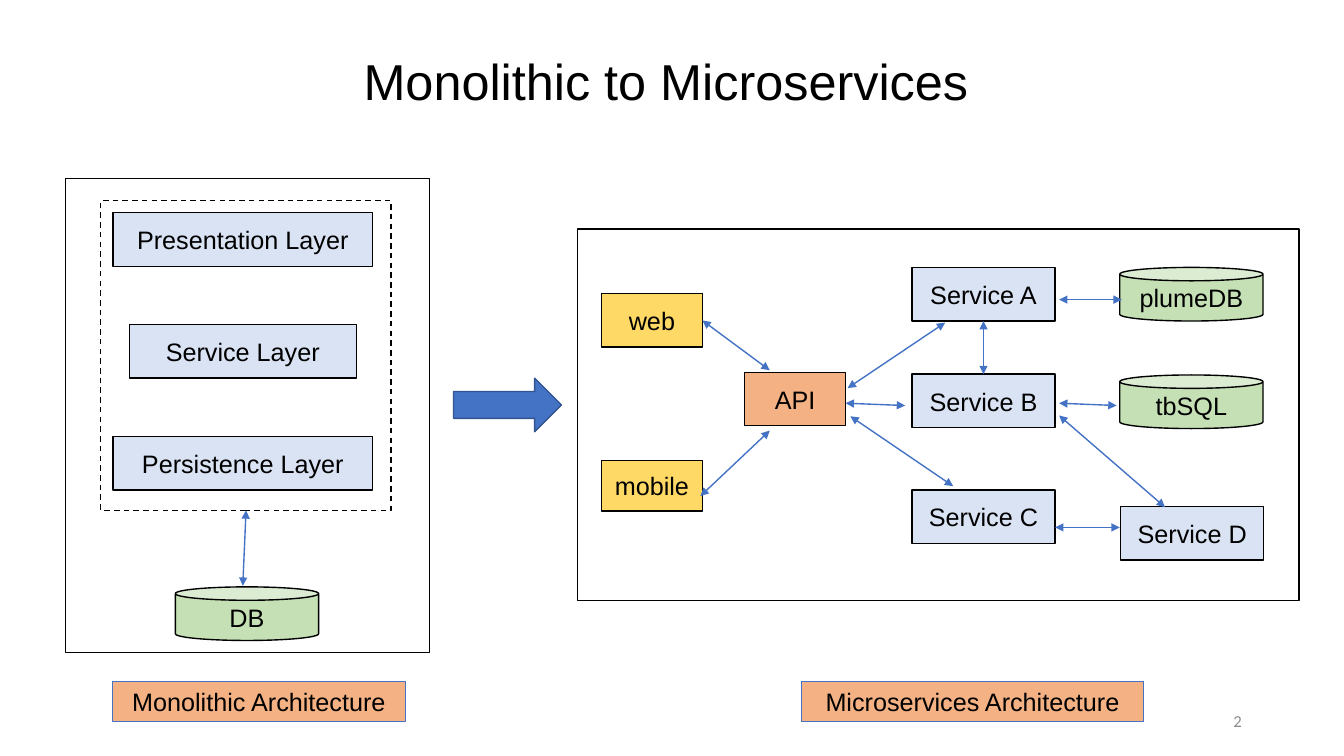
from lxml import etree
from pptx import Presentation
from pptx import util as u
from pptx.dml.color import RGBColor
from pptx.enum import dml, shapes, text
from pptx.oxml.ns import qn

COLORS = {
    "black": "000000",
    "client": "FFD966",
    "gateway": "F4B183",
    "service": "DAE3F3",
    "database": "C5E0B4",
    "arrow": "4472C4",
    "arrow_edge": "325491",
    "page": "8C8C8C",
}
RECTANGLE = shapes.MSO_SHAPE.RECTANGLE
CAN = shapes.MSO_SHAPE.CAN
ROW = 1.35  # height of a diagram node, cm
WIDE = 3.61  # width of services and databases, cm
TOP, LEFT, BOTTOM, RIGHT = range(4)


def color(name):
    return RGBColor.from_string(COLORS[name])


def write_text(shape, words, size=18, font="Arial", ink="black",
               align=text.PP_ALIGN.CENTER, spacing=None):
    frame = shape.text_frame
    frame.word_wrap = True
    frame.vertical_anchor = text.MSO_ANCHOR.MIDDLE
    paragraph = frame.paragraphs[0]
    paragraph.alignment = align
    paragraph.line_spacing = spacing
    run = paragraph.add_run()
    run.text = words
    run.font.size = u.Pt(size)
    run.font.name = font
    run.font.color.rgb = color(ink)


def add_text(slide, box, words, **style):
    write_text(slide.shapes.add_textbox(*map(u.Cm, box)), words, **style)


def add_node(slide, box, words="", kind=RECTANGLE, fill=None, line="black",
             width=1, dash=None):
    shape = slide.shapes.add_shape(kind, *map(u.Cm, box))
    shape.shadow.inherit = False
    if fill:
        shape.fill.solid()
        shape.fill.fore_color.rgb = color(fill)
    else:
        shape.fill.background()
    shape.line.color.rgb = color(line)
    shape.line.width = u.Pt(width)
    if dash:
        shape.line.dash_style = dash
    if words:
        write_text(shape, words)
    return shape


def add_link(slide, origin, ends, begin=None, end=None):
    """Two-headed arrow; begin and end are (shape, side) pairs to join."""
    (x1, y1), (x2, y2) = ends
    x, y = origin
    link = slide.shapes.add_connector(
        shapes.MSO_CONNECTOR.STRAIGHT,
        *map(u.Cm, (x + x1, y + y1, x + x2, y + y2)))
    link.line.color.rgb = color("arrow")
    link.line.width = u.Pt(1)
    for tag in ("a:headEnd", "a:tailEnd"):
        etree.SubElement(link.line._get_or_add_ln(), qn(tag), type="triangle")
    etree.SubElement(link._element.spPr, qn("a:effectLst"))
    if begin:
        link.begin_connect(*begin)
    if end:
        link.end_connect(*end)


def add_monolith(slide, box):
    left, top = box[:2]
    add_node(slide, box)
    application = add_node(slide, (left + 0.89, top + 0.56, 7.32, 7.8),
                           dash=dml.MSO_LINE.DASH)
    middle = 4.47
    layers = [("Presentation Layer", 6.55), ("Service Layer", 5.72),
              ("Persistence Layer", 6.55)]
    for row, (name, width) in enumerate(layers):
        add_node(slide, (left + middle - width / 2, top + 0.86 + 2.82 * row,
                         width, ROW), name, fill="service")
    add_node(slide, (left + 2.77, top + 10.29, WIDE, ROW), "DB",
             kind=CAN, fill="database")
    add_link(slide, (left, top), ((4.5, 8.36), (middle, 10.26)),
             begin=(application, BOTTOM))


def add_microservices(slide, box):
    origin = left, top = box[:2]
    add_node(slide, box)
    parts = [
        ("web", 0.61, 1.63, 2.54, ROW, RECTANGLE, "client"),
        ("mobile", 0.61, 5.84, 2.54, 1.27, RECTANGLE, "client"),
        ("API", 4.22, 3.61, 2.54, ROW, RECTANGLE, "gateway"),
        ("Service A", 8.43, 0.97, WIDE, ROW, RECTANGLE, "service"),
        ("Service B", 8.43, 3.66, WIDE, ROW, RECTANGLE, "service"),
        ("Service C", 8.43, 6.58, WIDE, ROW, RECTANGLE, "service"),
        ("Service D", 13.69, 6.99, WIDE, ROW, RECTANGLE, "service"),
        ("plumeDB", 13.67, 0.97, WIDE, ROW, CAN, "database"),
        ("tbSQL", 13.67, 3.68, WIDE, ROW, CAN, "database"),
    ]
    nodes = {
        name: add_node(slide, (left + x, top + y, width, height), name,
                       kind=kind, fill=fill)
        for name, x, y, width, height, kind, fill in parts
    }
    add_link(slide, origin, ((3.15, 2.3), (4.85, 3.56)),
             begin=(nodes["web"], RIGHT))
    add_link(slide, origin, ((10.06, 3.66), (10.06, 2.32)),
             begin=(nodes["Service B"], TOP),
             end=(nodes["Service A"], BOTTOM))
    free_links = [
        ((3.1, 6.73), (4.85, 5.08)),  # mobile to API
        ((6.81, 4.01), (9.27, 2.36)),  # API to A
        ((6.76, 4.39), (8.26, 4.45)),  # API to B
        ((6.88, 4.72), (9.47, 6.48)),  # API to C
        ((12.14, 1.78), (13.72, 1.78)),  # A to its database
        ((12.14, 4.39), (13.59, 4.45)),  # B to its database
        ((12.04, 7.52), (13.67, 7.52)),  # C to D
        ((12.14, 4.7), (14.81, 7.01)),  # B to D
    ]
    for ends in free_links:
        add_link(slide, origin, ends)


def add_caption(slide, box, words):
    add_node(slide, box, words, fill="gateway", line="arrow", width=0.75)


def main():
    presentation = Presentation()
    presentation.slide_width = u.Cm(33.87)
    presentation.slide_height = u.Cm(19.05)
    slide = presentation.slides.add_slide(presentation.slide_layouts[6])
    add_text(slide, (2.18, 0.28, 29.21, 3.68), "Monolithic to Microservices",
             size=36, spacing=0.9)
    add_microservices(slide, (14.55, 5.77, 18.19, 9.37))
    add_monolith(slide, (1.65, 4.5, 9.17, 11.94))
    add_node(slide, (11.43, 9.53, 2.72, ROW), fill="arrow", line="arrow_edge",
             kind=shapes.MSO_SHAPE.RIGHT_ARROW)
    add_caption(slide, (2.84, 17.17, 7.37, 1.02), "Monolithic Architecture")
    add_caption(slide, (20.19, 17.17, 8.64, 1.02),
                "Microservices Architecture")
    add_text(slide, (23.93, 17.65, 7.62, 1.02), "2", size=12, font="Calibri",
             ink="page", align=text.PP_ALIGN.RIGHT)
    presentation.save("out.pptx")


if __name__ == "__main__":
    main()
